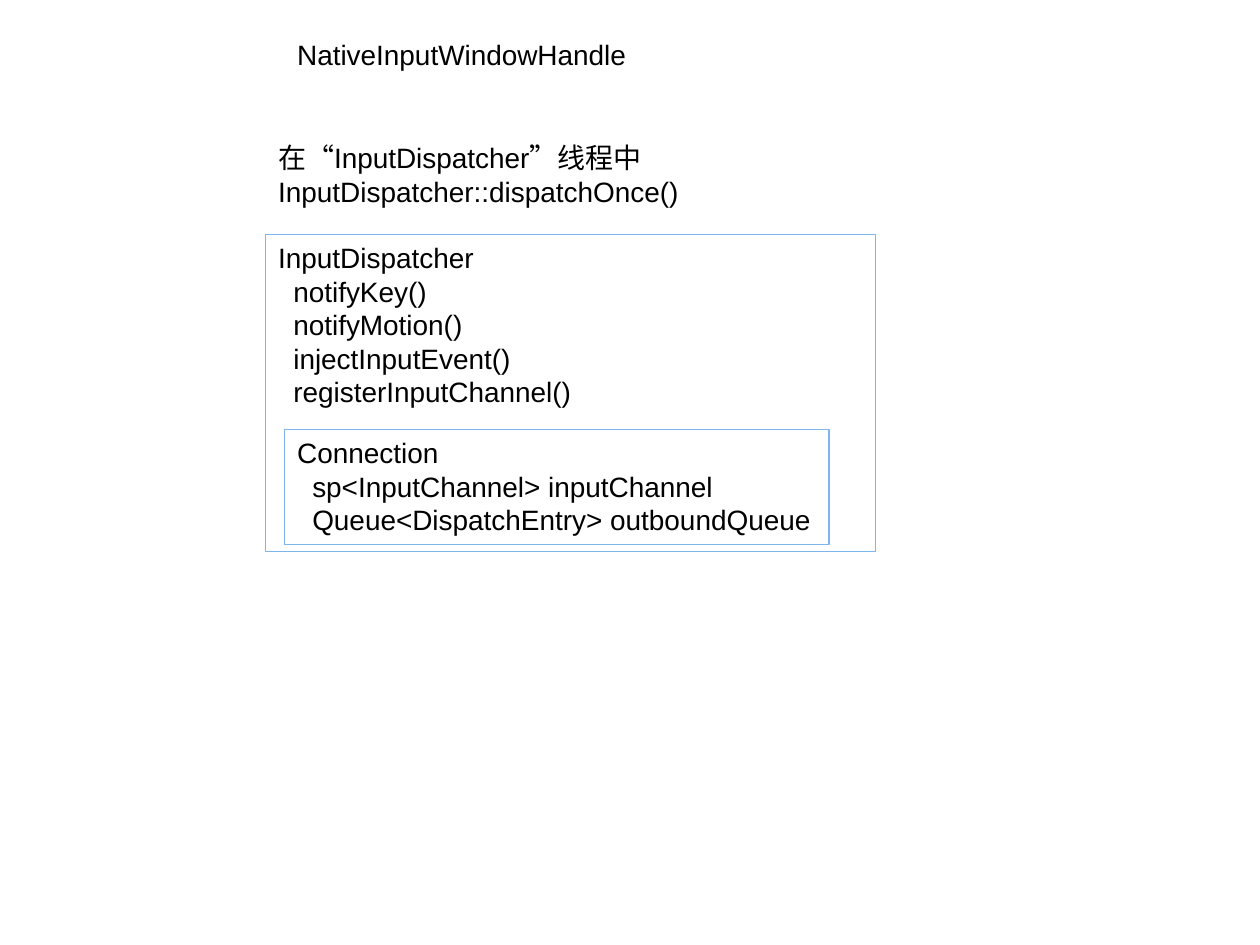
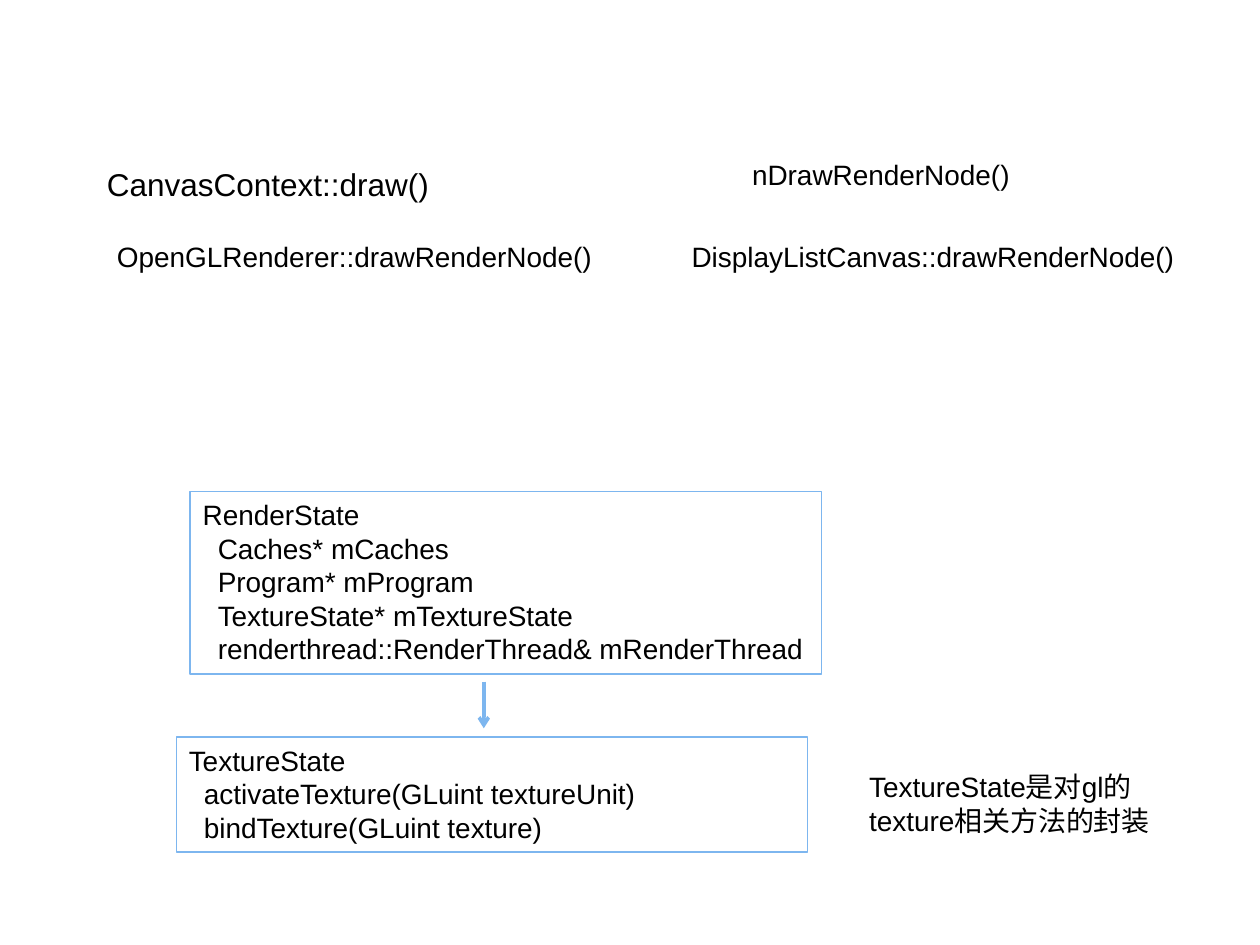
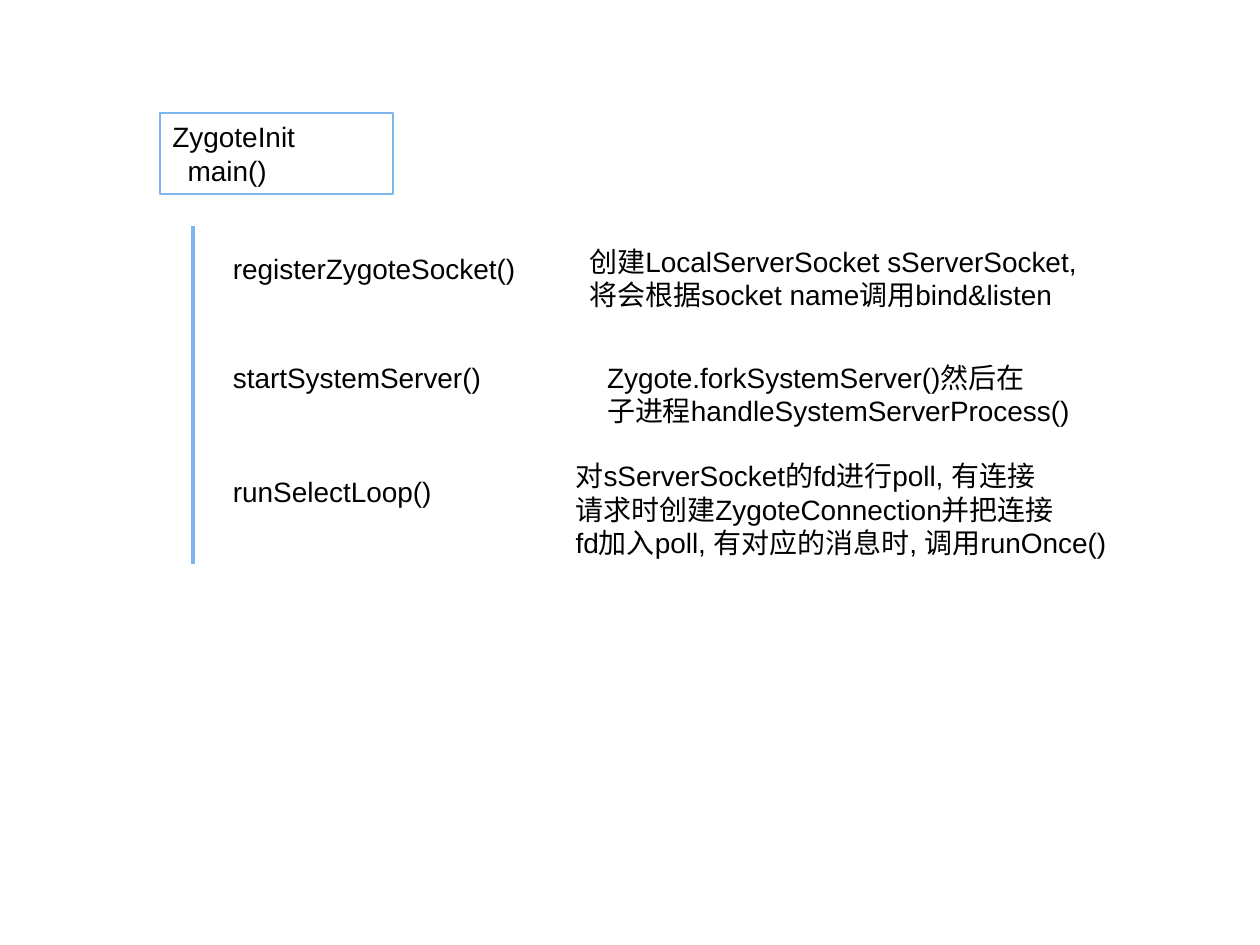
from lxml.etree import SubElement
from pptx import Presentation
from pptx.dml.color import RGBColor
from pptx.enum.shapes import MSO_CONNECTOR, MSO_SHAPE
from pptx.enum.text import MSO_ANCHOR, MSO_AUTO_SIZE, PP_ALIGN
from pptx.oxml.ns import qn
from pptx.util import Inches, Pt

FONT = "Arial"
TEXT_COLOR = "000000"
LINE_COLOR = "7DB6EF"
MEMBER_INDENT = Inches(0.12)


def add_text(slide, left, top, width, height, lines, size=16, outline=None):
    """Add left-aligned lines; with an outline, a class box whose members are indented."""
    bounds = [Inches(value) for value in (left, top, width, height)]
    if outline:
        shape = slide.shapes.add_shape(MSO_SHAPE.RECTANGLE, *bounds)
        shape.shadow.inherit = False
        shape.fill.background()
        shape.line.color.rgb = RGBColor.from_string(LINE_COLOR)
        shape.line.width = Pt(outline)
    else:
        shape = slide.shapes.add_textbox(*bounds)
    frame = shape.text_frame
    frame.word_wrap = True
    frame.auto_size = MSO_AUTO_SIZE.SHAPE_TO_FIT_TEXT
    frame.vertical_anchor = MSO_ANCHOR.TOP
    for index, line in enumerate(lines):
        paragraph = frame.add_paragraph() if index else frame.paragraphs[0]
        paragraph.alignment = PP_ALIGN.LEFT
        if outline and index:
            properties = paragraph._p.get_or_add_pPr()
            properties.set("marL", str(MEMBER_INDENT))
            properties.set("indent", "0")
        run = paragraph.add_run()
        run.text = line
        run.font.name = FONT
        run.font.size = Pt(size)
        run.font.color.rgb = RGBColor.from_string(TEXT_COLOR)


def add_vertical_line(slide, x, top, bottom, arrow=False):
    connector = slide.shapes.add_connector(
        MSO_CONNECTOR.STRAIGHT, Inches(x), Inches(top), Inches(x), Inches(bottom))
    connector.line.color.rgb = RGBColor.from_string(LINE_COLOR)
    connector.line.width = Pt(2)
    if arrow:
        SubElement(connector.line._get_or_add_ln(), qn("a:tailEnd"), type="arrow")
    SubElement(connector._element.spPr, qn("a:effectLst"))


presentation = Presentation()
presentation.slide_width = Inches(10)
presentation.slide_height = Inches(7.5)
blank_layout = presentation.slide_layouts[6]

# Input dispatching
slide = presentation.slides.add_slide(blank_layout)
add_text(slide, 2.11, 1.86, 4.84, 2.52, [
    "InputDispatcher",
    "notifyKey()",
    "notifyMotion()",
    "injectInputEvent()",
    "registerInputChannel()",
], outline=0.75)
add_text(slide, 2.11, 1.07, 3.44, 0.64,
         ["在“InputDispatcher”线程中InputDispatcher::dispatchOnce()"])
add_text(slide, 2.26, 3.41, 4.32, 0.91, [
    "Connection",
    "sp<InputChannel> inputChannel",
    "Queue<DispatchEntry> outboundQueue",
], outline=0.75)
add_text(slide, 2.26, 0.25, 2.95, 0.37, ["NativeInputWindowHandle"])

# Rendering
slide = presentation.slides.add_slide(blank_layout)
add_text(slide, 1.51, 3.9, 5.01, 1.45, [
    "RenderState",
    "Caches* mCaches",
    "Program* mProgram",
    "TextureState* mTextureState",
    "renderthread::RenderThread& mRenderThread",
], outline=1)
add_text(slide, 1.4, 5.85, 5.01, 0.91, [
    "TextureState",
    "activateTexture(GLuint textureUnit)",
    "bindTexture(GLuint texture)",
], outline=1)
add_vertical_line(slide, 3.84, 5.41, 5.78, arrow=True)
add_text(slide, 6.8, 6.06, 2.46, 0.64, ["TextureState是对gl的texture相关方法的封装"])
add_text(slide, 0.83, 1.85, 4.06, 0.37, ["OpenGLRenderer::drawRenderNode()"])
add_text(slide, 0.75, 1.26, 2.78, 0.4, ["CanvasContext::draw()"], size=18)
add_text(slide, 5.39, 1.85, 4.11, 0.37, ["DisplayListCanvas::drawRenderNode()"])
add_text(slide, 5.87, 1.2, 2.78, 0.37, ["nDrawRenderNode()"])

# Zygote start-up
slide = presentation.slides.add_slide(blank_layout)
add_text(slide, 1.27, 0.9, 1.85, 0.64, ["ZygoteInit", "main()"], outline=1)
add_vertical_line(slide, 1.53, 1.79, 4.48)
for top, width, call in [
    (1.95, 2.54, "registerZygoteSocket()"),
    (2.81, 2.24, "startSystemServer()"),
    (3.72, 1.95, "runSelectLoop()"),
]:
    add_text(slide, 1.75, top, width, 0.37, [call])
add_text(slide, 4.58, 1.89, 4.17, 0.64, [
    "创建LocalServerSocket sServerSocket,",
    "将会根据socket name调用bind&listen",
])
add_text(slide, 4.72, 2.81, 4.02, 0.64, [
    "Zygote.forkSystemServer()然后在",
    "子进程handleSystemServerProcess()",
])
add_text(slide, 4.47, 3.59, 4.52, 0.91, [
    "对sServerSocket的fd进行poll, 有连接",
    "请求时创建ZygoteConnection并把连接",
    "fd加入poll, 有对应的消息时, 调用runOnce()",
])

presentation.save("out.pptx")
